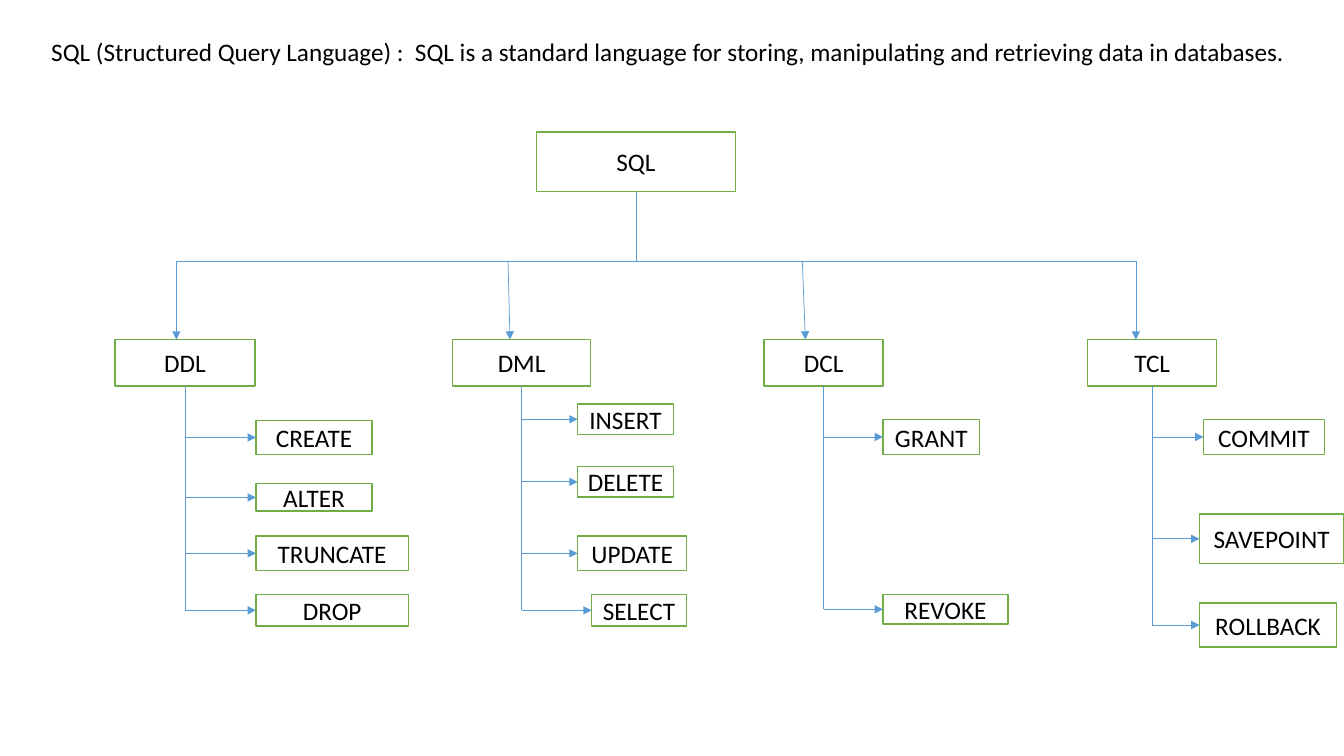
from itertools import pairwise

from lxml.etree import SubElement
from pptx import Presentation
from pptx.dml.color import RGBColor
from pptx.enum.shapes import MSO_CONNECTOR, MSO_SHAPE
from pptx.enum.text import MSO_ANCHOR, PP_ALIGN
from pptx.oxml.ns import qn
from pptx.util import Pt

TITLE = ("SQL (Structured Query Language) :  SQL is a standard language for "
         "storing, manipulating and retrieving data in databases.")
GREEN, BLUE, WHITE, BLACK = "70AD47", "5B9BD5", "FFFFFF", "000000"
BOTTOM, LEFT = 2, 1  # connection sites of a rectangle

BUS_Y = 186.5
HEAD_TOP, HEAD_HEIGHT = 242.6, 33.1
BUS_JOINTS = [126, 290.9, 454.3, 630.7, 811.4]

# Head: name, left, width; arrow from the bus: start x, end x;
# commands: name, left, top, width, height
BRANCHES = [
    (("DDL", 82.1, 100.1), (126, 126), [
        ("CREATE", 182.9, 300.2, 82.8, 24.5),
        ("ALTER", 182.9, 345.6, 82.8, 19.4),
        ("TRUNCATE", 182.9, 383, 108.7, 24.5),
        ("DROP", 182.9, 424.8, 108.7, 22.3)]),
    (("DML", 323.3, 98.6), (362.9, 364.3), [
        ("INSERT", 412.6, 288.7, 68.4, 21.6),
        ("DELETE", 412.6, 333.4, 68.4, 21.6),
        ("UPDATE", 412.6, 383, 77.8, 24.5),
        ("SELECT", 422.6, 424.8, 67.7, 22.3)]),
    (("DCL", 545.8, 85), (573.1, 575.3), [
        ("GRANT", 630.7, 299.5, 69.1, 25.2),
        ("REVOKE", 630.7, 424.8, 89.3, 20.9)]),
    (("TCL", 776.9, 92.2), (811.4, 811.4), [
        ("COMMIT", 859.7, 299.5, 86.4, 25.2),
        ("SAVEPOINT", 856.8, 367.2, 103, 35.3),
        ("ROLLBACK", 856.8, 430.6, 97.9, 31.7)]),
]


def color(value):
    return RGBColor.from_string(value)


def set_text(shape, text):
    paragraph = shape.text_frame.paragraphs[0]
    paragraph.text = text
    paragraph.font.size = Pt(18)
    paragraph.font.name = "Calibri"
    paragraph.font.color.rgb = color(BLACK)
    return paragraph


def add_title(slide):
    shape = slide.shapes.add_textbox(Pt(29.5), Pt(22.3), Pt(903.6), Pt(51.1))
    shape.text_frame.word_wrap = True
    set_text(shape, TITLE)


def add_box(slide, text, left, top, width, height):
    shape = slide.shapes.add_shape(
        MSO_SHAPE.RECTANGLE, Pt(left), Pt(top), Pt(width), Pt(height))
    shape.shadow.inherit = False
    shape.fill.solid()
    shape.fill.fore_color.rgb = color(WHITE)
    shape.line.color.rgb = color(GREEN)
    shape.line.width = Pt(1)
    shape.text_frame.word_wrap = False
    shape.text_frame.vertical_anchor = MSO_ANCHOR.MIDDLE
    set_text(shape, text).alignment = PP_ALIGN.CENTER
    return shape


def add_line(slide, start, end, arrow=False):
    connector = slide.shapes.add_connector(
        MSO_CONNECTOR.STRAIGHT, *(Pt(value) for value in (*start, *end)))
    connector.line.color.rgb = color(BLUE)
    connector.line.width = Pt(0.5)
    if arrow:
        SubElement(connector.line._get_or_add_ln(), qn("a:tailEnd"), type="triangle")
    SubElement(connector._element.spPr, qn("a:effectLst"))
    return connector


def add_root(slide):
    left, top, width, height = 383.4, 94.3, 141.8, 42.5
    root = add_box(slide, "SQL", left, top, width, height)
    middle = left + width / 2
    stem = add_line(slide, (middle, top + height), (middle, BUS_Y))
    stem.begin_connect(root, BOTTOM)
    for start, end in pairwise(BUS_JOINTS):
        add_line(slide, (start, BUS_Y), (end, BUS_Y))


def add_branch(slide, head, arrow, commands):
    # Head box and the arrow that leads to it
    name, left, width = head
    add_line(slide, (arrow[0], BUS_Y), (arrow[1], HEAD_TOP), arrow=True)
    head_box = add_box(slide, name, left, HEAD_TOP, width, HEAD_HEIGHT)

    # Stem down to the last command
    stem_x = left + width / 2
    _, _, last_top, _, last_height = commands[-1]
    stem = add_line(slide, (stem_x, HEAD_TOP + HEAD_HEIGHT),
                    (stem_x, last_top + last_height / 2))
    stem.begin_connect(head_box, BOTTOM)

    # Commands, each with an arrow from the stem
    for text, box_left, top, box_width, height in commands:
        box = add_box(slide, text, box_left, top, box_width, height)
        middle = top + height / 2
        link = add_line(slide, (stem_x, middle), (box_left, middle), arrow=True)
        link.end_connect(box, LEFT)


def main():
    presentation = Presentation()
    presentation.slide_width = Pt(960)
    presentation.slide_height = Pt(540)
    slide = presentation.slides.add_slide(presentation.slide_layouts[6])

    add_title(slide)
    add_root(slide)
    for head, arrow, commands in BRANCHES:
        add_branch(slide, head, arrow, commands)

    presentation.save("out.pptx")


if __name__ == "__main__":
    main()
